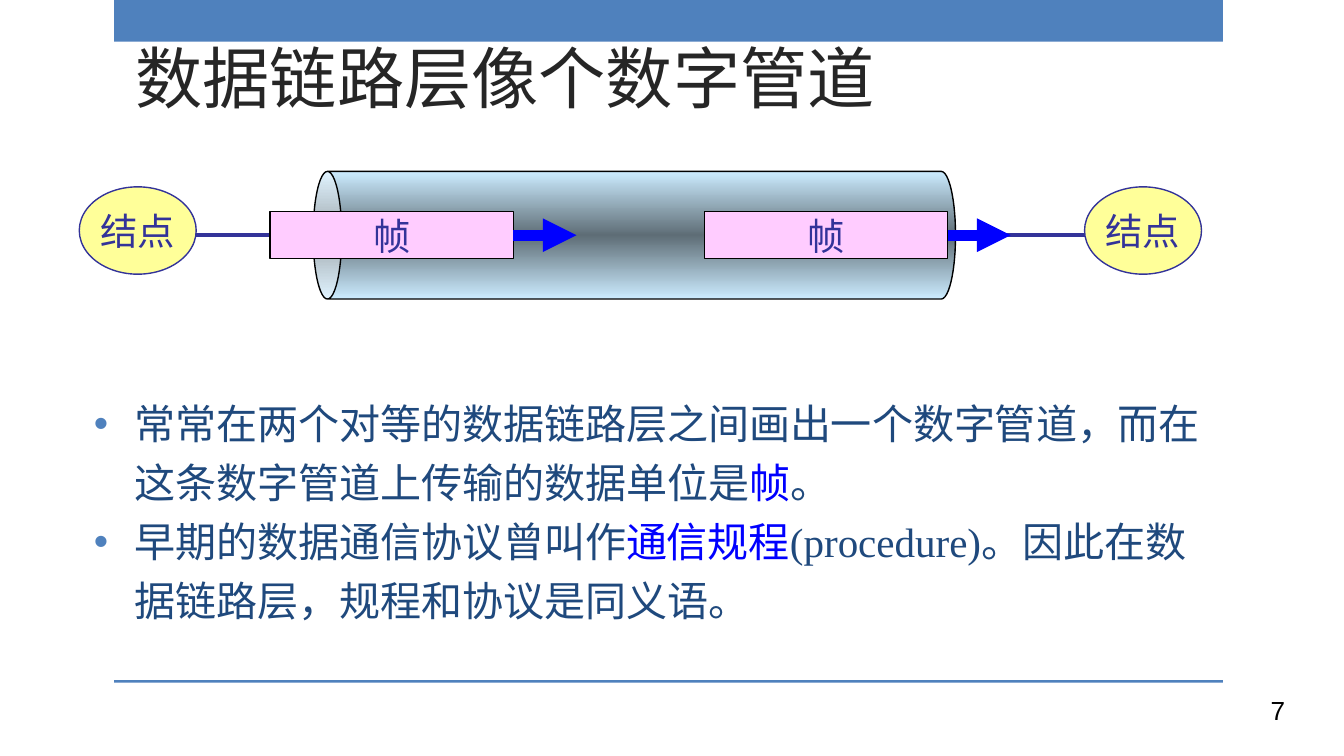
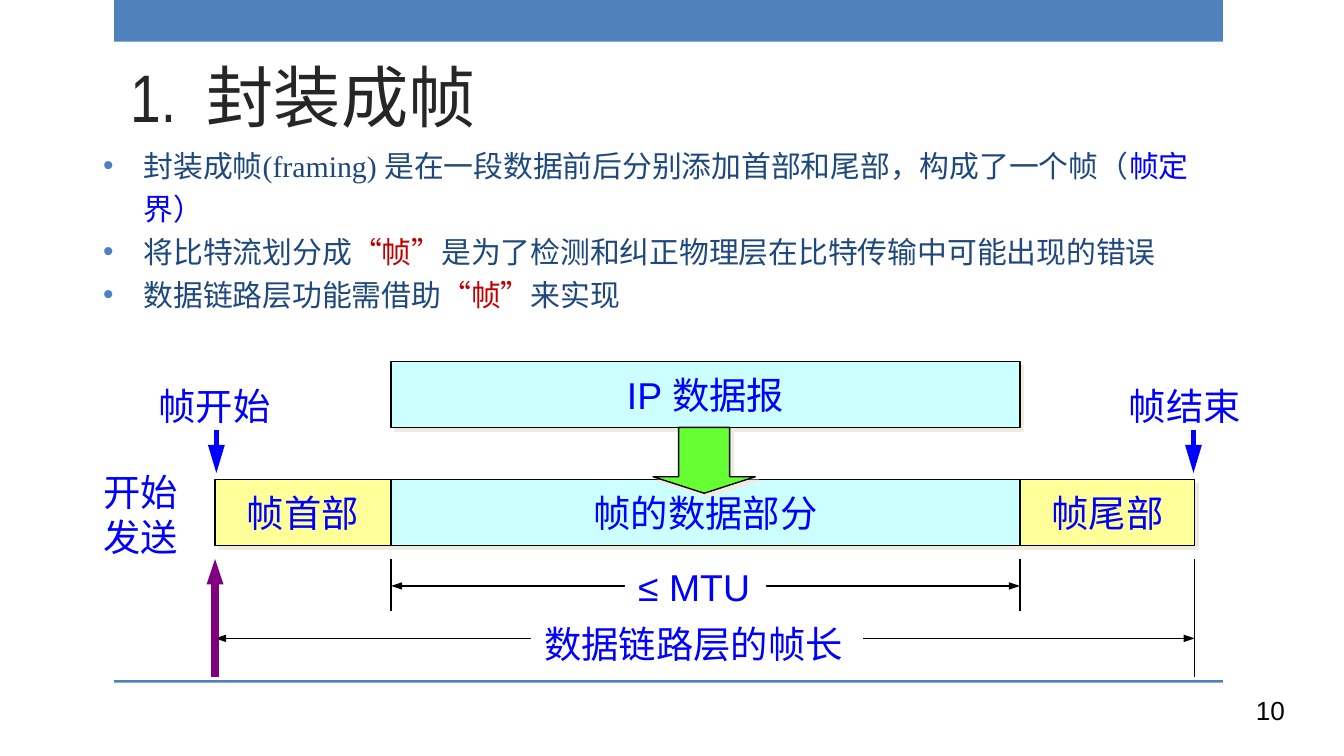
from copy import deepcopy

from lxml.etree import SubElement
from pptx import Presentation
from pptx.dml.color import RGBColor
from pptx.enum.shapes import MSO_CONNECTOR as Connector, MSO_SHAPE as Shape
from pptx.enum.text import MSO_ANCHOR as Anchor, MSO_AUTO_SIZE as AutoSize, PP_ALIGN as Align
from pptx.oxml.ns import qn
from pptx.util import Inches, Pt

# Shared colours and text formats
BAND, INK, BLUE, RED, NAVY = "4F81BD", "1F497D", "0000FF", "C00000", "333399"
YELLOW, PINK, CYAN, GREEN, PURPLE = "FFFF99", "FFCCFF", "CCFFFF", "66FF33", "800080"
WHITE, BLACK, SHADOW = "FFFFFF", "000000", "EEECE1"
TITLE = {"size": 36, "name": "Arial Narrow", "color": "262626"}
NUMBER = {"size": 14, "name": "Arial", "color": BLACK}
NODE = {"size": 20, "name": "Cabin", "color": NAVY}
LABEL = {"size": 20, "name": "Arial", "color": BLUE}

# Slide content: titles and bullets, whose runs are (text, colour)
PIPE_PAGE = {
    "number": "7", "title": "数据链路层像个数字管道",
    "title_box": (0.91, 0.29, 7.13, 0.63),
    "body_box": (0.6, 2.5, 8.5, 2.54), "body_size": 22,
    "bullets": [
        [("常常在两个对等的数据链路层之间画出一个数字管道，而在这条数字管道上传输的数据单位是", INK),
         ("帧", BLUE), ("。", INK)],
        [("早期的数据通信协议曾叫作", INK), ("通信规程", BLUE),
         ("(procedure)。因此在数据链路层，规程和协议是同义语。", INK)],
    ],
}
FRAMING_PAGE = {
    "number": "10", "title": "1.  封装成帧",
    "title_box": (0.87, 0, 7.36, 1.06),
    "body_box": (0.67, 1.08, 8.7, 1.21), "body_size": 16,
    "bullets": [
        [("封装成帧(framing) 是在一段数据前后分别添加首部和尾部，构成了一个帧（", INK),
         ("帧定界）", BLUE)],
        [("将比特流划分成", INK), ("“帧”", RED),
         ("是为了检测和纠正物理层在比特传输中可能出现的错误", INK)],
        [("数据链路层功能需借助", INK), ("“帧”", RED), ("来实现", INK)],
    ],
}

# Digital pipe diagram
NODE_LEFTS, FRAME_LEFTS = (0.59, 8.07), (2.01, 5.24)
PIPE_STOPS = [(0, "CCECFF"), (0.5, "5E6D76"), (1, "CCECFF")]

# Frame layout diagram
FRAME_LEFT, FIELD_TOP, FIELD_HEIGHT = 1.6, 3.57, 0.49
FIELDS = [("帧首部", 1.31, YELLOW), ("帧的数据部分", 4.68, CYAN), ("帧尾部", 1.3, YELLOW)]
FRAME_LABELS = [
    ("帧结束", (8.3, 2.8, 1.05, 0.44)),
    ("≤ MTU", (4.65, 4.15, 1.05, 0.44)),
    ("数据链路层的帧长", (3.95, 4.57, 2.47, 0.44)),
    ("开始\n发送", (0.67, 3.44, 0.77, 0.78)),
    ("帧开始", (1.08, 2.8, 1.05, 0.44)),
]


def rgb(color):
    return RGBColor.from_string(color)


def inches(box):
    return [Inches(length) for length in box]


def add_run(paragraph, text, style):
    run = paragraph.add_run()
    run.text = text
    formats = {"size": Pt(style["size"]), "name": style["name"]}
    for name, value in formats.items():
        setattr(run.font, name, value)
    run.font.color.rgb = rgb(style["color"])


def write(shape, text, style, align=Align.CENTER, spacing=None, **frame_formats):
    formats = {"word_wrap": False, "vertical_anchor": Anchor.MIDDLE} | frame_formats
    frame = shape.text_frame
    for name, value in formats.items():
        setattr(frame, name, value)
    for index, line in enumerate(text.split("\n")):
        paragraph = frame.add_paragraph() if index else frame.paragraphs[0]
        paragraph.alignment = align
        paragraph.line_spacing = spacing
        add_run(paragraph, line, style)


def add_box(slide, kind, box, fill, line=None, shadow=False):
    shape = slide.shapes.add_shape(kind, *inches(box))
    shape.fill.solid()
    shape.fill.fore_color.rgb = rgb(fill)
    if line:
        shape.line.color.rgb = rgb(line)
        shape.line.width = Pt(0.75)
    else:
        shape.line.fill.background()
    shape.shadow.inherit = False
    if shadow:
        effects = shape._element.spPr.find(qn("a:effectLst"))
        outer = SubElement(effects, qn("a:outerShdw"), blurRad="0", dist=str(Pt(2.8)),
                           dir=str(45 * 60000), algn="ctr", rotWithShape="0")
        SubElement(outer, qn("a:srgbClr"), val=SHADOW)
    return shape


def add_line(slide, start, end, color, width, heads=(), head_width="med", head_length="med"):
    line = slide.shapes.add_connector(Connector.STRAIGHT, *inches(start + end))
    line.line.color.rgb = rgb(color)
    line.line.width = Pt(width)
    properties = line._element.spPr
    for head in heads:
        SubElement(properties.find(qn("a:ln")), qn(f"a:{head}End"),
                   type="triangle", w=head_width, len=head_length)
    SubElement(properties, qn("a:effectLst"))
    return line


def add_bullets(slide, page):
    frame = slide.shapes.add_textbox(*inches(page["body_box"])).text_frame
    frame.word_wrap = True
    frame.vertical_anchor = Anchor.MIDDLE
    for index, runs in enumerate(page["bullets"]):
        paragraph = frame.add_paragraph() if index else frame.paragraphs[0]
        paragraph.line_spacing = 1.2
        properties = paragraph._p.get_or_add_pPr()
        properties.set("marL", str(Inches(0.3)))
        properties.set("indent", str(Inches(-0.3)))
        SubElement(SubElement(properties, qn("a:buClr")), qn("a:srgbClr"), val=BAND)
        SubElement(properties, qn("a:buFont"), typeface="Arial")
        SubElement(properties, qn("a:buChar"), char="•")
        for text, color in runs:
            style = {"size": page["body_size"], "name": "Times New Roman", "color": color}
            add_run(paragraph, text, style)


def add_page(presentation, page):
    slide = presentation.slides.add_slide(presentation.slide_layouts[6])
    # Top band and footer rule
    for top, height in ((0, 0.31), (5.06, 0.02)):
        add_box(slide, Shape.RECTANGLE, (0.85, top, 8.25, height), BAND)
    # Page number, title and body
    number = slide.shapes.add_textbox(*inches((7.16, 5.12, 2.5, 0.39)))
    write(number, page["number"], NUMBER, Align.RIGHT,
          word_wrap=True, vertical_anchor=Anchor.TOP)
    title = slide.shapes.add_textbox(*inches(page["title_box"]))
    write(title, page["title"], TITLE, Align.LEFT, 1.2,
          word_wrap=True, vertical_anchor=Anchor.BOTTOM)
    add_bullets(slide, page)
    return slide


def add_pipe(slide, center_x, center_y, length, thickness):
    box = (center_x - thickness / 2, center_y - length / 2, thickness, length)
    pipe = add_box(slide, Shape.CAN, box, WHITE, BLACK)
    pipe.rotation = 270
    pipe.adjustments[0] = 0.224
    pipe.fill.gradient()
    pipe.fill.gradient_angle = 0
    stop_list = pipe._element.spPr.find(qn("a:gradFill")).find(qn("a:gsLst"))
    stop_list.insert(1, deepcopy(stop_list[0]))
    for stop, (position, color) in zip(pipe.fill.gradient_stops, PIPE_STOPS):
        stop.position = position
        stop.color.rgb = rgb(color)


def draw_pipe_diagram(slide):
    # End nodes and the link between them
    for left in NODE_LEFTS:
        node = add_box(slide, Shape.OVAL, (left, 1.39, 0.87, 0.65), YELLOW, NAVY)
        write(node, "结点", NODE)
    link_y = 1.75
    add_line(slide, (1.46, link_y), (8.07, link_y), NAVY, 2.25)
    add_pipe(slide, 4.72, link_y, 4.78, 0.95)
    add_line(slide, (1.46, link_y), (1.66, link_y), NAVY, 2.25)
    # Frames moving through the pipe
    width, height = 1.81, 0.35
    for left in FRAME_LEFTS:
        top = link_y - height / 2
        frame = add_box(slide, Shape.RECTANGLE, (left, top, width, height), PINK, BLACK)
        write(frame, "帧", NODE)
        right = left + width
        arrow = add_line(slide, (right, link_y), (right + 0.47, link_y), BLUE, 6, ["tail"])
        arrow.begin_connect(frame, 3)


def draw_frame_diagram(slide):
    # Fields of the frame, side by side
    edges = [FRAME_LEFT]
    for text, width, color in FIELDS:
        box = (edges[-1], FIELD_TOP, width, FIELD_HEIGHT)
        write(add_box(slide, Shape.RECTANGLE, box, color, BLACK, True), text, LABEL)
        edges.append(edges[-1] + width)
    start, data_start, data_end, end = edges

    # Datagram dropping into the data field
    box = (data_start, 2.69, data_end - data_start, FIELD_HEIGHT)
    write(add_box(slide, Shape.RECTANGLE, box, CYAN, BLACK, True), "IP 数据报", LABEL)
    drop = add_box(slide, Shape.DOWN_ARROW, (4.86, 3.18, 0.76, 0.49), GREEN, BLACK, True)
    drop.adjustments[1] = 0.25

    # Dimension lines and their limits
    for left, right, y in ((data_start, data_end, 4.36), (start, end, 4.75)):
        add_line(slide, (left, y), (right, y), BLACK, 0.75, ["head", "tail"], "sm")
    for x, bottom in ((data_start, 4.55), (data_end, 4.55), (end, 5.04)):
        add_line(slide, (x, 4.16), (x, bottom), BLACK, 0.75)
    add_line(slide, (start, 4.16), (start, 5.04), PURPLE, 4.5, ["head"], "sm")

    # Labels, then the markers of the frame's two ends
    for text, box in FRAME_LABELS:
        label = add_box(slide, Shape.RECTANGLE, box, WHITE)
        write(label, text, LABEL, Align.LEFT, vertical_anchor=Anchor.TOP,
              auto_size=AutoSize.SHAPE_TO_FIT_TEXT)
    for x in (start + 0.01, end - 0.01):
        add_line(slide, (x, 3.52), (x, 3.2), BLUE, 3, ["head"], head_length="lg")


def main():
    presentation = Presentation()
    presentation.slide_width = Inches(10)
    presentation.slide_height = Inches(10 * 9 / 16)
    draw_pipe_diagram(add_page(presentation, PIPE_PAGE))
    draw_frame_diagram(add_page(presentation, FRAMING_PAGE))
    presentation.save("out.pptx")


if __name__ == "__main__":
    main()
